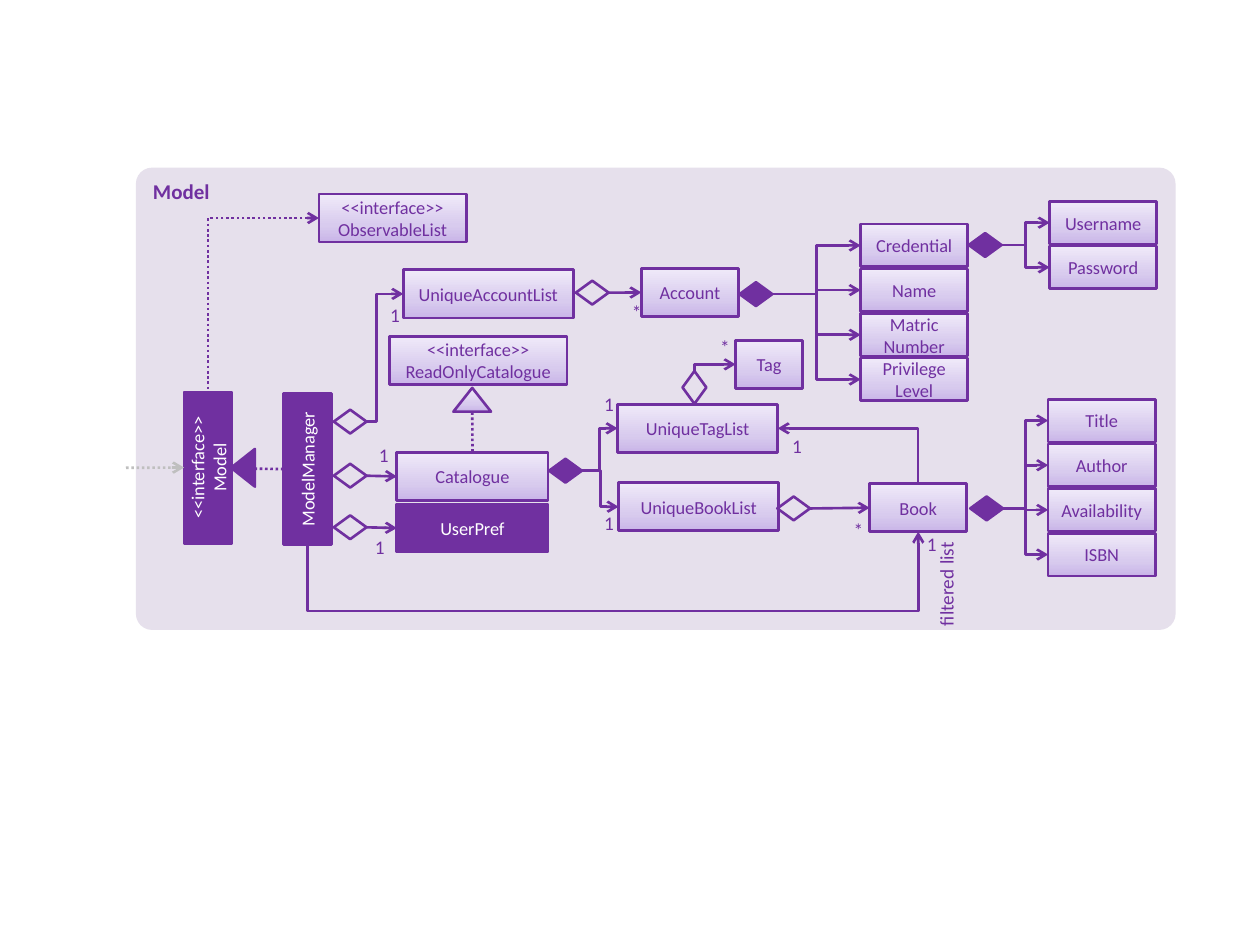
from copy import deepcopy

from lxml import etree
from pptx import Presentation, util as u
from pptx.dml.color import RGBColor
from pptx.enum import dml, shapes, text
from pptx.oxml.ns import qn

TOP, LEFT, BOTTOM, RIGHT = range(4)
PURPLE, WHITE, GREY, LILAC = "7030A0", "FFFFFF", "BFBFBF", "E6E0EC"
GRADIENT = [(0, "C9B5E8"), (0.35, "D8CBEE"), (1, "F0EAF9")]
MSO, LINK = shapes.MSO_SHAPE, shapes.MSO_CONNECTOR


def rgb(value):
    return RGBColor.from_string(value)


def anchor(end):
    """Return the EMU point of a (shape, side) pair or of a (x, y) pair in cm."""
    if isinstance(end[0], (int, float)):
        return u.Cm(end[0]), u.Cm(end[1])
    sp, side = end
    w, h = sp.width, sp.height
    if sp.rotation % 180:
        w, h = h, w
    dx, dy = {TOP: (0, -h), LEFT: (-w, 0), BOTTOM: (0, h), RIGHT: (w, 0)}[side]
    return (sp.left + (sp.width + dx) // 2, sp.top + (sp.height + dy) // 2)


class Diagram:
    font = "Calibri"
    stroke = u.Pt(1.5)

    def __init__(self, slide):
        self.s = slide

    def set_text(self, sp, words, color, size=10.5, align=text.PP_ALIGN.CENTER, bold=False):
        tf = sp.text_frame
        tf.word_wrap = True
        tf.text = words
        for p in tf.paragraphs:
            p.alignment = align
            for r in p.runs:
                r.font.name, r.font.size, r.font.bold = self.font, u.Pt(size), bold
                r.font.color.rgb = rgb(color)
        return tf

    def paint(self, sp, fill):
        if fill is None:
            sp.fill.background()
        elif fill is GRADIENT:
            sp.fill.gradient()
            stops = sp._element.spPr.find(".//" + qn("a:gsLst"))
            stops.append(deepcopy(stops[0]))
            for stop, (position, color) in zip(sp.fill.gradient_stops, GRADIENT):
                stop.position, stop.color.rgb = position, rgb(color)
            sp.fill.gradient_angle = 90
        else:
            sp.fill.solid()
            sp.fill.fore_color.rgb = rgb(fill)

    def shape(self, kind, x, y, w, h, fill, rotation=0):
        sp = self.s.shapes.add_shape(kind, u.Cm(x), u.Cm(y), u.Cm(w), u.Cm(h))
        sp.shadow.inherit = False
        sp.rotation = rotation
        self.paint(sp, fill)
        sp.line.color.rgb = rgb(PURPLE)
        sp.line.width = self.stroke
        return sp

    def frame(self, words, x, y, w, h):
        sp = self.shape(MSO.ROUNDED_RECTANGLE, x, y, w, h, LILAC)
        sp.adjustments[0] = 0.035
        sp.line.fill.background()
        tf = self.set_text(sp, words, PURPLE, 12, text.PP_ALIGN.LEFT, True)
        tf.vertical_anchor = text.MSO_ANCHOR.TOP

    def box(self, words, x, y, w, h=0.97, fill=GRADIENT, rotation=0):
        sp = self.shape(MSO.RECTANGLE, x, y, w, h, fill, rotation)
        tf = self.set_text(sp, words, PURPLE if fill is GRADIENT else WHITE)
        tf.vertical_anchor = text.MSO_ANCHOR.MIDDLE
        return sp

    def stack(self, names, x, y):
        return [self.box(name, x, y + 0.9 * i, 2.16, 0.86) for i, name in enumerate(names)]

    def diamond(self, x, y, fill=None, rotation=0):
        return self.shape(MSO.FLOWCHART_DECISION, x, y, 0.66, 0.48, fill, rotation)

    def triangle(self, x, y, fill, rotation=0):
        return self.shape(MSO.ISOSCELES_TRIANGLE, x, y, 0.76, 0.48, fill, rotation)

    def label(self, words, x, y):
        sp = self.s.shapes.add_textbox(u.Cm(x), u.Cm(y), u.Cm(0.53), u.Cm(0.51))
        tf = self.set_text(sp, words, PURPLE, 11)
        tf.margin_left = tf.margin_right = tf.margin_top = tf.margin_bottom = 0

    def side_label(self, words, x, y, w, h):
        sp = self.s.shapes.add_textbox(u.Cm(x), u.Cm(y), u.Cm(w), u.Cm(h))
        sp.rotation = 270
        self.set_text(sp, words, PURPLE, 11, text.PP_ALIGN.RIGHT)

    def connector(self, kind, begin, end, arrow="tailEnd", dotted=False, color=PURPLE):
        c = self.s.shapes.add_connector(kind, *begin, *end)
        c.line.color.rgb = rgb(color)
        c.line.width = self.stroke
        if dotted:
            c.line.dash_style = dml.MSO_LINE.ROUND_DOT
        spPr = c._element.spPr
        if arrow:
            etree.SubElement(spPr.find(qn("a:ln")), qn("a:" + arrow), type="arrow")
        etree.SubElement(spPr, qn("a:effectLst"))
        return c

    def straight(self, start, end, **style):
        begin, finish = anchor(start), anchor(end)
        c = self.connector(LINK.STRAIGHT, begin, finish, **style)
        for target, join in ((start, c.begin_connect), (end, c.end_connect)):
            if not isinstance(target[0], (int, float)):
                sp, side = target
                join(sp, (side - (sp.rotation == 270)) % 4)
        # joining ignores rotation, so the ends are placed again
        c.begin_x, c.begin_y = begin
        c.end_x, c.end_y = finish

    def bend(self, c, preset, adjust=None):
        geom = c._element.spPr.find(qn("a:prstGeom"))
        geom.set("prst", preset)
        if adjust is not None:
            guides = geom.find(qn("a:avLst"))
            etree.SubElement(guides, qn("a:gd"), name="adj1", fmla=f"val {round(adjust * 100000)}")

    def elbow(self, start, end, adjust=0.5):
        c = self.connector(LINK.ELBOW, anchor(start), anchor(end))
        self.bend(c, "bentConnector3", adjust)

    def corner(self, start, end, **style):
        """Leave start vertically and reach end horizontally, with one turn."""
        c = self.connector(LINK.ELBOW, anchor(end), anchor(start), arrow="headEnd", **style)
        self.bend(c, "bentConnector2")

    def detour(self, start, end, turn):
        """Leave and arrive vertically, running level at height turn (cm)."""
        (x1, y1), (x2, y2) = anchor(start), anchor(end)
        cx, cy, dx, dy = (x1 + x2) // 2, (y1 + y2) // 2, x2 - x1, y2 - y1
        c = self.connector(LINK.ELBOW, (cx - dy // 2, cy + dx // 2), (cx + dy // 2, cy - dx // 2))
        c._element.spPr.find(qn("a:xfrm")).set("rot", "5400000")
        self.bend(c, "bentConnector3", (u.Cm(turn) - y1) / dy)


def main():
    prs = Presentation()
    prs.slide_width, prs.slide_height = u.Cm(25.4), u.Cm(19.05)
    d = Diagram(prs.slides.add_slide(prs.slide_layouts[6]))

    d.frame("Model", 2.74, 3.38, 20.96, 9.32)
    user_pref = d.box("UserPref", 8, 10.16, 3.05, fill=PURPLE)
    manager = d.box("ModelManager", 4.67, 8.97, 3.05, fill=PURPLE, rotation=270)
    model = d.box("<<interface>>\nModel", 2.67, 8.94, 3.05, fill=PURPLE, rotation=270)
    catalogue = d.box("Catalogue", 8, 9.12, 3.05)
    book_list = d.box("UniqueBookList", 12.47, 9.73, 3.23)
    tag_list = d.box("UniqueTagList", 12.45, 8.15, 3.23)
    book = d.box("Book", 17.53, 9.75, 1.96)
    tag = d.box("Tag", 14.83, 6.86, 1.35)
    d.box("<<interface>>\vReadOnlyCatalogue", 7.85, 6.78, 3.58)
    observable = d.box("<<interface>>\vObservableList", 6.43, 3.91, 2.97)
    account_list = d.box("UniqueAccountList", 8.13, 5.44, 3.43)
    account = d.box("Account", 12.93, 5.41, 1.96)
    book_parts = d.stack(["Title", "Author", "Availability", "ISBN"], 21.13, 8.05)
    account_parts = d.stack(
        ["Credential", "Name", "Matric Number", "Privilege Level"], 17.35, 4.52)
    credential_parts = d.stack(["Username", "Password"], 21.16, 4.06)

    d.triangle(4.52, 9.19, PURPLE, 270)
    d.triangle(9.14, 7.82, GRADIENT)
    has_accounts, has_catalogue, has_pref = [d.diamond(6.73, y) for y in (8.26, 9.35, 10.39)]
    has_books = d.diamond(15.67, 10.01)
    has_tags = d.diamond(13.67, 7.57, rotation=270)
    lists_account = d.diamond(11.61, 5.66)
    owns_lists = d.diamond(11.07, 9.25, PURPLE)

    for diamond, target in ((has_catalogue, catalogue), (has_pref, user_pref),
                            (has_books, book), (lists_account, account)):
        d.straight((diamond, RIGHT), (target, LEFT))
    d.straight((2.54, 9.43), (model, LEFT), dotted=True, color=GREY)
    d.straight((5.13, 9.45), (manager, LEFT), arrow=None, dotted=True)
    d.straight((9.52, 8.31), (catalogue, TOP), arrow=None, dotted=True)

    d.elbow((has_accounts, RIGHT), (account_list, LEFT), 0.27)
    for diamond, parts in ((owns_lists, [tag_list, book_list]),
                           (d.diamond(19.56, 10.01, PURPLE), book_parts),
                           (d.diamond(14.91, 5.69, PURPLE), account_parts),
                           (d.diamond(19.53, 4.7, PURPLE), credential_parts)):
        for part in parts:
            d.elbow((diamond, RIGHT), (part, LEFT))
    d.corner((has_tags, TOP), (tag, LEFT))
    d.corner((model, TOP), (observable, LEFT), dotted=True)
    d.corner((book, TOP), (tag_list, RIGHT))
    d.detour((manager, BOTTOM), (book, BOTTOM), 12.32)

    for x, y in ((12.01, 7.9), (12.01, 10.31), (15.8, 8.76), (7.47, 8.94),
                 (7.39, 10.8), (18.52, 10.74), (7.7, 6.12)):
        d.label("1", x, y)
    for x, y in ((14.35, 6.76), (17.04, 10.44), (12.57, 6.05)):
        d.label("*", x, y)
    d.side_label("filtered list", 17.86, 11.53, 2.44, 0.74)

    prs.save("out.pptx")


if __name__ == "__main__":
    main()
